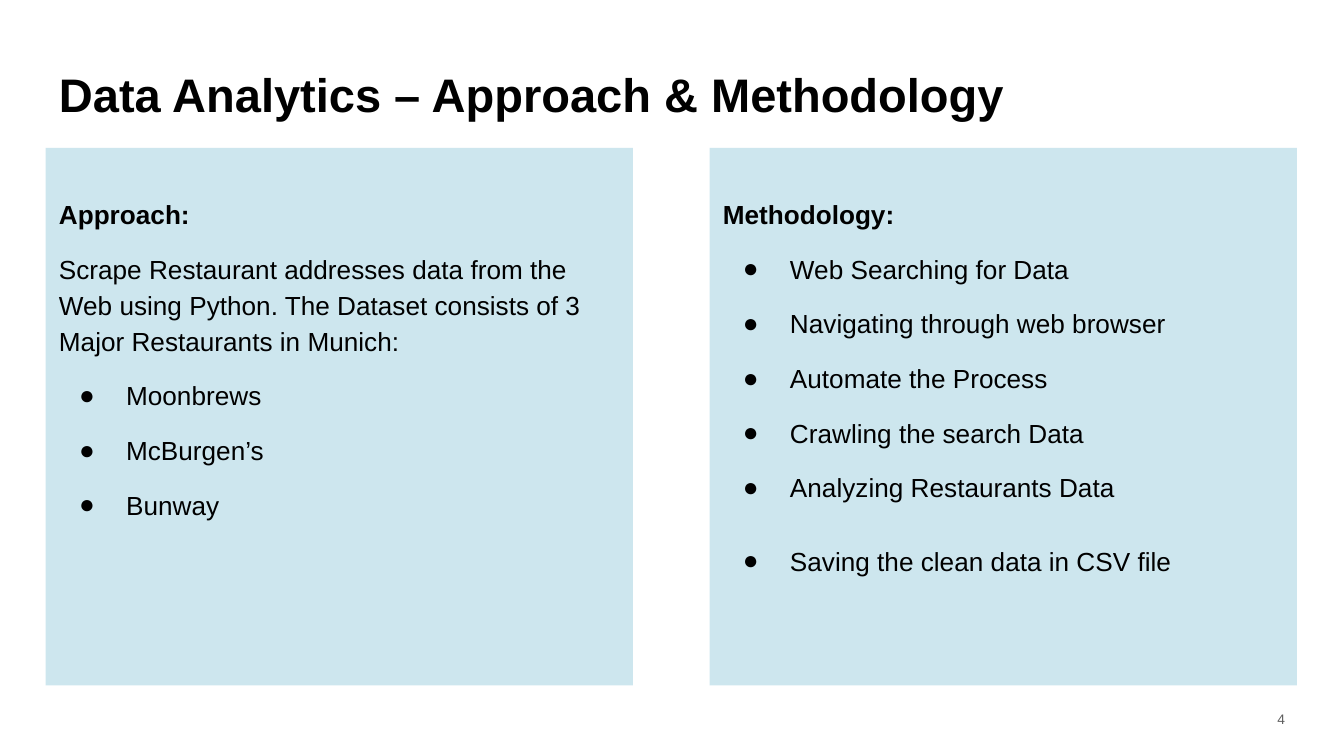
"""Build the approach and methodology slide."""
from dataclasses import dataclass
from typing import Sequence

from lxml.etree import SubElement
from pptx import Presentation
from pptx.dml.color import RGBColor
from pptx.enum.shapes import MSO_SHAPE
from pptx.enum.text import MSO_ANCHOR, PP_ALIGN
from pptx.oxml.ns import qn
from pptx.util import Inches, Pt


@dataclass(frozen=True)
class Theme:
    """Colours, font and type sizes."""
    font: str = "Arial"
    ink: str = "000000"
    grey: str = "5D5D5D"
    panel: str = "CDE6EE"
    title: float = 25.2
    body: float = 14
    small: float = 7.4


@dataclass(frozen=True)
class Line:
    """One paragraph with its format."""
    text: str
    bold: bool = False
    bullet: bool = False
    before: float = 10
    after: float = 0


@dataclass(frozen=True)
class Panel:
    """A tinted column of text."""
    col: int
    lines: Sequence[Line]


THEME = Theme()
LEFT, TOP, WIDE, HIGH, STEP = 0.34, 1.1, 4.37, 4, 4.94


def items(*names: str, tail: int = 1) -> list[Line]:
    """Make bullets, with space after the last few."""
    first = len(names) - tail
    return [Line(name, bullet=True, after=10 if i >= first else 0)
            for i, name in enumerate(names)]


PANELS = (
    Panel(0, [
        Line("Approach:", bold=True, before=0),
        Line("Scrape Restaurant addresses data from the Web using Python. "
             "The Dataset consists of 3 Major Restaurants in Munich:"),
        *items("Moonbrews", "McBurgen’s", "Bunway"),
    ]),
    Panel(1, [
        Line("Methodology:", bold=True, before=0),
        *items("Web Searching for Data", "Navigating through web browser",
               "Automate the Process", "Crawling the search Data",
               "Analyzing Restaurants Data",
               "Saving the clean data in CSV file", tail=2),
    ]),
)


def mark(para) -> None:
    """Give a paragraph a hanging round bullet."""
    props = para._p.get_or_add_pPr()
    props.set("marL", str(Inches(0.5)))
    props.set("indent", str(-Inches(0.35)))
    tint = SubElement(props, qn("a:buClr"))
    SubElement(tint, qn("a:srgbClr"), val=THEME.ink)
    SubElement(props, qn("a:buFont"), typeface=THEME.font)
    SubElement(props, qn("a:buChar"), char="●")


def write(shape, lines: Sequence[Line], *, size: float, color: str = THEME.ink,
          align=PP_ALIGN.LEFT, anchor=MSO_ANCHOR.MIDDLE, space: float = 1,
          top: float = 0.1) -> None:
    """Fill a shape with formatted paragraphs."""
    frame = shape.text_frame
    frame.word_wrap = True
    frame.vertical_anchor = anchor
    frame.margin_left = frame.margin_right = frame.margin_bottom = Inches(0.1)
    frame.margin_top = Inches(top)
    for i, line in enumerate(lines):
        para = frame.add_paragraph() if i else frame.paragraphs[0]
        para.alignment, para.line_spacing = align, space
        para.space_before, para.space_after = Pt(line.before), Pt(line.after)
        if line.bullet:
            mark(para)
        run = para.add_run()
        run.text = line.text
        font = run.font
        font.name, font.size, font.bold = THEME.font, Pt(size), line.bold
        font.color.rgb = RGBColor.from_string(color)


def draw(slide, panel: Panel) -> None:
    """Draw one panel in its column."""
    box = slide.shapes.add_shape(
        MSO_SHAPE.RECTANGLE, Inches(LEFT + panel.col * STEP), Inches(TOP),
        Inches(WIDE), Inches(HIGH))
    box.shadow.inherit = False
    box.fill.solid()
    box.fill.fore_color.rgb = RGBColor.from_string(THEME.panel)
    box.line.fill.background()
    write(box, panel.lines, size=THEME.body, anchor=MSO_ANCHOR.TOP,
          space=1.15, top=0.34)


def main() -> None:
    """Build and save the slide."""
    deck = Presentation()
    deck.slide_width = Inches(10)
    deck.slide_height = deck.slide_width * 9 // 16
    slide = deck.slides.add_slide(deck.slide_layouts[6])
    head = slide.shapes.add_textbox(
        Inches(LEFT), Inches(0.38), Inches(8.91), Inches(0.63))
    write(head, [Line("Data Analytics – Approach & Methodology",
                      bold=True, before=0)], size=THEME.title)
    for panel in PANELS:
        draw(slide, panel)
    foot = slide.shapes.add_textbox(
        Inches(9.26), Inches(5.21), Inches(0.4), Inches(0.3))
    write(foot, [Line("4", before=0)], size=THEME.small, color=THEME.grey,
          align=PP_ALIGN.RIGHT, space=0.8)
    deck.save("out.pptx")


main()
